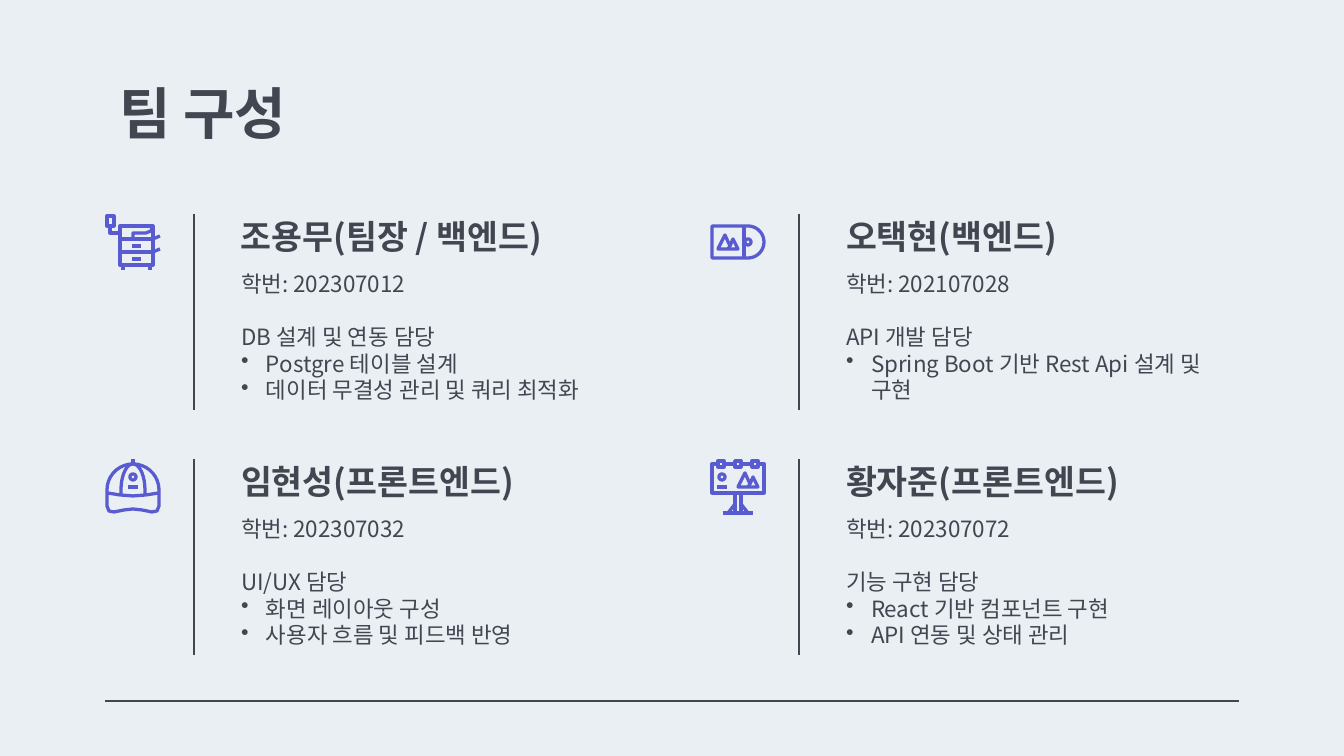
from dataclasses import dataclass
from math import cos, radians, sin

from lxml import etree
from pptx import Presentation
from pptx.dml.color import RGBColor
from pptx.enum.shapes import MSO_CONNECTOR
from pptx.enum.text import MSO_ANCHOR
from pptx.oxml.ns import qn
from pptx.util import Pt

SCALE = 914400 / 134.4  # EMU in one px
FONT = "Noto Sans CJK KR"
BACKGROUND, INK, ACCENT = "EAEFF4", "424651", "595BD1"
LINE_HEIGHT = 1.19

Stroke = list[tuple[float, float]]


def px(length: float) -> int:
    return round(length * SCALE)


def color(value: str) -> RGBColor:
    return RGBColor.from_string(value)


# Icon strokes, in px from the icon's top left corner
def arc(x: int, y: int, rx: int, ry: int, start: int, end: int) -> Stroke:
    return [(x + rx * cos(radians(a)), y + ry * sin(radians(a))) for a in range(start, end + 1, 10)]


def box(left: int, top: int, right: int, bottom: int) -> Stroke:
    return [(left, top), (right, top), (right, bottom), (left, bottom), (left, top)]


def mountains(x: int, y: int) -> list[Stroke]:
    ridge = [(0, 14), (7, 0), (12, 11), (15, 4), (20, 14), (0, 14)]
    return [[(x + dx, y + dy) for dx, dy in ridge], [(x + 12, y + 11), (x + 10, y + 14)]]


def badge(x: int) -> list[Stroke]:
    return [arc(x, 18, 3, 3, 0, 360), [(x - 5, 28), (x + 5, 28)]]


CABINET = [
    box(15, 12, 48, 51), box(2, 2, 9, 12),
    [(5, 12), (5, 19), (15, 19)],
    [(15, 25), (48, 25)], [(15, 38), (48, 38)],
    [(27, 32), (36, 32)], [(27, 45), (36, 45)],
    [(18, 51), (18, 56)], [(45, 51), (45, 56)],
    [(48, 25), (55, 22)], [(48, 38), (55, 35)],
    [(28, 25), (28, 19), (41, 19), (46, 17), (48, 12)],
]
POCKET = [
    [(2, 44), (2, 12), *arc(38, 28, 16, 16, -90, 90), (2, 44)],
    [(34, 12), (34, 44)],
    arc(38, 28, 3, 3, 0, 360),
    *mountains(8, 21),
]
CAP = [
    [*arc(28, 31, 26, 26, 180, 360), (54, 47), (52, 52), (47, 53), (37, 51), (28, 50),
     (19, 51), (9, 53), (4, 52), (2, 47), (2, 31)],
    [(2, 34), (15, 36), (28, 37), (41, 36), (54, 34)],
    [(16, 36), *arc(28, 31, 12, 26, 180, 360), (40, 36)],
    [(28, 0), (28, 5)],
    *badge(28),
]
BILLBOARD = [
    [(8, 5), (2, 5), (2, 34), (54, 34), (54, 5), (48, 5)],
    [(14, 5), (25, 5)], [(31, 5), (42, 5)],
    *[box(x, 2, x + 6, 8) for x in (8, 25, 42)],
    [(25, 34), (25, 54)], [(31, 34), (31, 54)],
    [(25, 45), (18, 54)], [(31, 45), (38, 54)], [(13, 54), (43, 54)],
    *badge(12), *mountains(28, 14),
]


@dataclass
class Member:
    heading: str
    heading_width: int
    student_number: str
    role: str
    tasks: list[str]
    icon: list[Stroke]


MEMBERS = [
    Member("조용무(팀장 / 백엔드)", 414, "202307012", "DB 설계 및 연동 담당",
           ["Postgre 테이블 설계", "데이터 무결성 관리 및 쿼리 최적화"], CABINET),
    Member("오택현(백엔드)", 402, "202107028", "API 개발 담당",
           ["Spring Boot 기반 Rest Api 설계 및 구현"], POCKET),
    Member("임현성(프론트엔드)", 437, "202307032", "UI/UX 담당",
           ["화면 레이아웃 구성", "사용자 흐름 및 피드백 반영"], CAP),
    Member("황자준(프론트엔드)", 402, "202307072", "기능 구현 담당",
           ["React 기반 컴포넌트 구현", "API 연동 및 상태 관리"], BILLBOARD),
]


def draw_line(slide, x1: int, y1: int, x2: int, y2: int) -> None:
    line = slide.shapes.add_connector(MSO_CONNECTOR.STRAIGHT, px(x1), px(y1), px(x2), px(y2))
    line.line.color.rgb = color(INK)
    line.line.width = Pt(0.75)
    etree.SubElement(line._element.spPr, qn("a:effectLst"))


def draw_icon(slide, left: int, top: int, strokes: list[Stroke]) -> None:
    points = [[(px(left + x), px(top + y)) for x, y in stroke] for stroke in strokes]
    builder = slide.shapes.build_freeform(*points[0][0])
    for index, stroke in enumerate(points):
        if index:
            builder.move_to(*stroke[0])
        builder.add_line_segments(stroke[1:], close=stroke[0] == stroke[-1])
    icon = builder.convert_to_shape()
    icon.shadow.inherit = False
    icon.fill.background()
    icon.line.color.rgb = color(ACCENT)
    icon.line.width = Pt(1.75)


def set_frame(frame, anchor: MSO_ANCHOR) -> None:
    frame.word_wrap = True
    frame.vertical_anchor = anchor
    frame.margin_left = frame.margin_right = frame.margin_top = frame.margin_bottom = px(13)


def format_paragraph(paragraph, size: int, bold: bool = False) -> None:
    paragraph.line_spacing = Pt(round(size * LINE_HEIGHT, 1))
    font = paragraph.font
    font.name, font.size, font.bold = FONT, Pt(size), bold
    font.color.rgb = color(INK)
    east_asian = etree.SubElement(font._element, qn("a:ea"))
    east_asian.set("typeface", FONT)


def add_bullet(paragraph) -> None:
    properties = paragraph._p.get_or_add_pPr()
    properties.set("marL", str(px(25)))
    properties.set("indent", str(-px(25)))
    etree.SubElement(properties, qn("a:buChar")).set("char", "•")


def draw_member(slide, left: int, top: int, member: Member) -> None:
    draw_icon(slide, left, top, member.icon)
    draw_line(slide, left + 89, top, left + 89, top + 196)

    heading = slide.shapes.add_textbox(px(left + 123), px(top), px(member.heading_width), px(55))
    set_frame(heading.text_frame, MSO_ANCHOR.BOTTOM)
    heading.text_frame.text = member.heading
    format_paragraph(heading.text_frame.paragraphs[0], 18, bold=True)

    details = slide.shapes.add_textbox(px(left + 123), px(top + 43), px(402), px(153))
    set_frame(details.text_frame, MSO_ANCHOR.TOP)
    details.text_frame.text = "\n".join([f"학번: {member.student_number}", member.role, *member.tasks])
    for index, paragraph in enumerate(details.text_frame.paragraphs):
        if index > 1:
            add_bullet(paragraph)
        format_paragraph(paragraph, 12)
    details.text_frame.paragraphs[1].space_before = Pt(14.3)


def main() -> None:
    presentation = Presentation()
    presentation.slide_width, presentation.slide_height = px(1344), px(756)
    slide = presentation.slides.add_slide(presentation.slide_layouts[5])
    slide.background.fill.solid()
    slide.background.fill.fore_color.rgb = color(BACKGROUND)

    # Title and footer rule
    title = slide.shapes.title
    title.left, title.top, title.width, title.height = px(106), px(66), px(1133), px(85)
    set_frame(title.text_frame, MSO_ANCHOR.TOP)
    title.text_frame.text = "팀 구성"
    title.text_frame.paragraphs[0].alignment = 1
    format_paragraph(title.text_frame.paragraphs[0], 30, bold=True)
    draw_line(slide, 105, 701, 1239, 701)

    # Members in two columns and two rows
    for index, member in enumerate(MEMBERS):
        row, column = divmod(index, 2)
        draw_member(slide, 105 + 605 * column, 214 + 245 * row, member)

    presentation.save("out.pptx")


if __name__ == "__main__":
    main()
